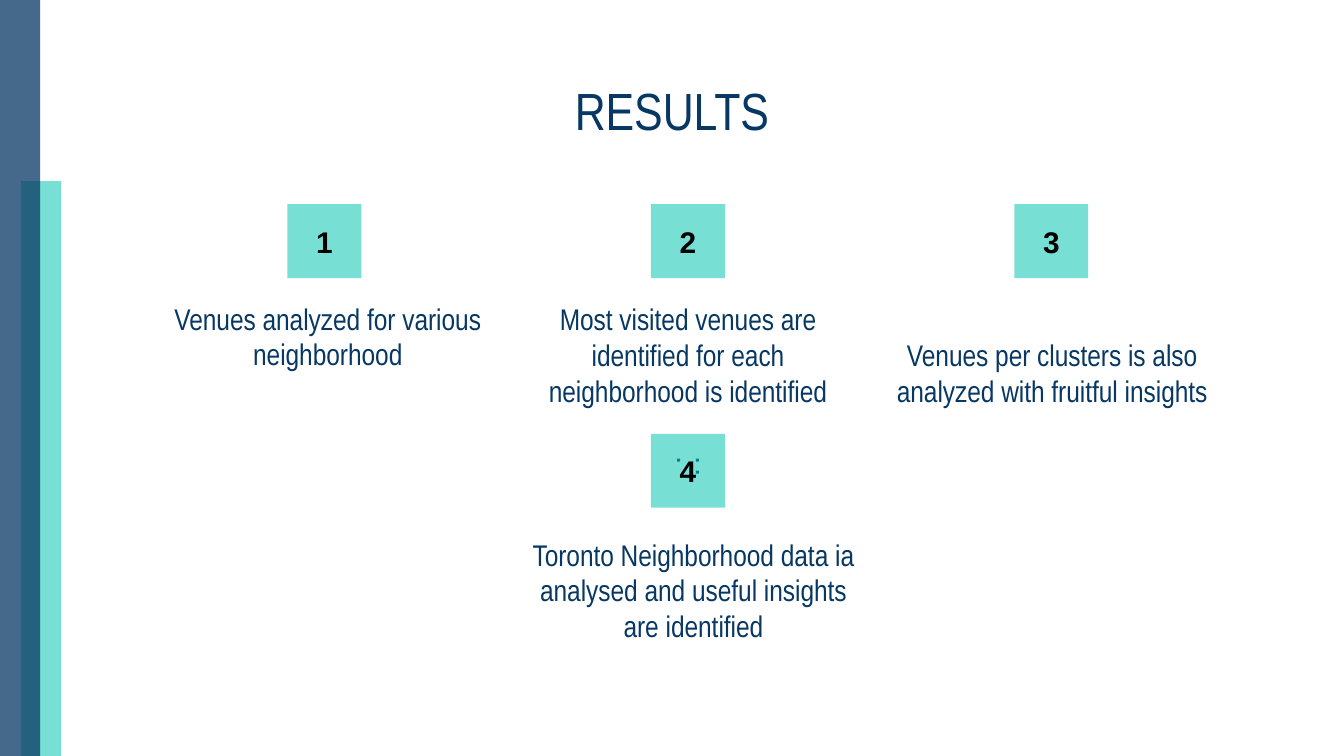
import pptx
import pptx.util
import pptx.dml.color
import pptx.enum.shapes
import pptx.enum.text
import pptx.oxml
import pptx.oxml.ns
from dataclasses import dataclass

Pt = pptx.util.Pt
RGB = pptx.dml.color.RGBColor.from_string
Kind = pptx.enum.shapes.MSO_SHAPE
Anchor = pptx.enum.text.MSO_ANCHOR
Align = pptx.enum.text.PP_ALIGN


@dataclass
class Theme:
    navy: str = "073763"
    teal: str = "00C3B1"
    black: str = "000000"
    title: int = 28
    body: int = 16
    narrow: str = "Arial Narrow"
    plain: str = "Arial"


theme = Theme()
deck = pptx.Presentation()
deck.slide_width, deck.slide_height = Pt(720), Pt(405)
slide = deck.slides.add_slide(deck.slide_layouts[6])


def block(kind, left, top, width, height, color, alpha=100):
    """Add a flat shape without outline; alpha is opacity in percent."""
    shape = slide.shapes.add_shape(kind, Pt(left), Pt(top), Pt(width), Pt(height))
    shape.shadow.inherit = False
    shape.line.fill.background()
    shape.fill.solid()
    shape.fill.fore_color.rgb = RGB(color)
    if alpha < 100:
        tint = shape.fill._xPr.find(".//" + pptx.oxml.ns.qn("a:srgbClr"))
        tint.append(pptx.oxml.parse_xml(
            f'<a:alpha {pptx.oxml.ns.nsdecls("a")} val="{alpha * 1000}"/>'))
    return shape


def write(shape, text, size, face, color, anchor, bold=False):
    frame = shape.text_frame
    frame.word_wrap = True
    frame.vertical_anchor = anchor
    frame.margin_left = frame.margin_right = Pt(7.2)
    frame.margin_top = frame.margin_bottom = Pt(7.2)
    para = frame.paragraphs[0]
    para.text = text
    para.alignment = Align.CENTER
    para.font.size, para.font.name, para.font.bold = Pt(size), face, bold
    para.font.color.rgb = RGB(color)
    return frame


# Side bars
block(Kind.RECTANGLE, 11.2, 97, 21.6, 308, theme.teal, 53)
block(Kind.RECTANGLE, 0, 0, 21.6, 405, theme.navy, 75)

# Dots behind the fourth square
for left, top in [(362.8, 245.7), (372.8, 245.7), (372.8, 252.2)]:
    block(Kind.ROUNDED_RECTANGLE, left, top, 1.6, 1.6, theme.navy)

title = slide.shapes.add_textbox(Pt(154.8), Pt(21.6), Pt(410.4), Pt(74.2))
write(title, "RESULTS", theme.title, theme.narrow, theme.navy, Anchor.MIDDLE)

# Results: column, square top, caption left, caption top, space below, caption
results = [
    (0, 109.4, 79.9, 180.4, 26.5, "Venues analyzed for various neighborhood"),
    (1, 109.4, 272.9, 180.4, 7.2,
     "Most visited venues are identified for each neighborhood is identified"),
    (2, 109.4, 468, 180.4, 7.2,
     "Venues per clusters is also analyzed with fruitful insights"),
    (1, 232.4, 275.8, 306.7, 7.2,
     "Toronto Neighborhood data ia analysed and useful insights are identified"),
]
for num, (col, top, left, low, space, text) in enumerate(results, 1):
    square = block(Kind.RECTANGLE, 154 + 194.7 * col, top, 39.6, 39.6, theme.teal, 53)
    write(square, str(num), theme.body, theme.plain, theme.black, Anchor.MIDDLE, True)
    label = slide.shapes.add_textbox(Pt(left), Pt(low), Pt(191.5), Pt(45.4))
    frame = write(label, text, theme.body, theme.narrow, theme.navy, Anchor.BOTTOM)
    frame.margin_bottom = Pt(space)

deck.save("out.pptx")
